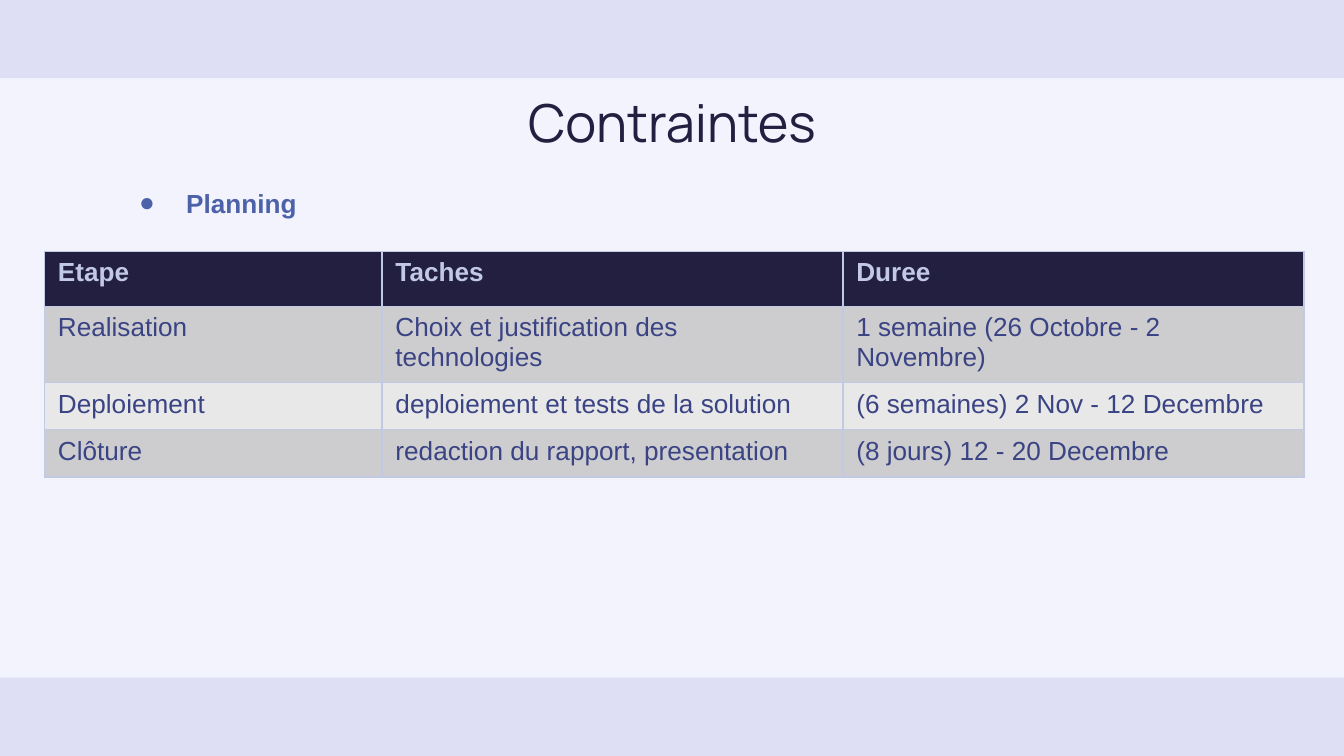
from lxml import etree
from pptx import Presentation
from pptx.dml.color import RGBColor
from pptx.enum.shapes import MSO_SHAPE
from pptx.enum.text import MSO_ANCHOR, PP_ALIGN
from pptx.oxml.ns import qn
from pptx.util import Cm, Pt

RECTANGLE = MSO_SHAPE.RECTANGLE
TOP, MIDDLE = MSO_ANCHOR.TOP, MSO_ANCHOR.MIDDLE
LEFT, CENTER = PP_ALIGN.LEFT, PP_ALIGN.CENTER

COLORS = {
    "background": "F2F3FD", "band": "DEDFF5", "ink": "231F40",
    "bullet": "4D61A9", "body": "3A4383", "border": "C1C9E4",
    "row_dark": "CDCDCF", "row_light": "E8E8E8",
}


def color(name):
    return RGBColor.from_string(COLORS[name])


def write(frame, text, *, ink, size=14, font="Arial", bold=False,
          align=LEFT, anchor=TOP):
    frame.word_wrap = True
    frame.vertical_anchor = anchor
    paragraph = frame.paragraphs[0]
    paragraph.alignment = align
    run = paragraph.add_run()
    run.text = text
    run.font.name = font
    run.font.size = Pt(size)
    run.font.bold = bold
    run.font.color.rgb = color(ink)
    return paragraph


prs = Presentation()
prs.slide_width, prs.slide_height = Cm(25.4), Cm(14.29)
slide = prs.slides.add_slide(prs.slide_layouts[6])
slide.background.fill.solid()
slide.background.fill.fore_color.rgb = color("background")

# Bands at the top and bottom edges
band_height = Cm(1.48)
for top in (0, prs.slide_height - band_height):
    band = slide.shapes.add_shape(RECTANGLE, 0, top, prs.slide_width, band_height)
    band.shadow.inherit = False
    band.fill.solid()
    band.fill.fore_color.rgb = color("band")
    band.line.fill.background()

# Bulleted heading and title share the same column
planning = slide.shapes.add_textbox(Cm(2), Cm(3.2), Cm(21.4), Cm(9.47))
title = slide.shapes.add_textbox(Cm(2), Cm(1.5), Cm(21.4), Cm(1.6))
for box in (planning, title):
    frame = box.text_frame
    frame.margin_left = frame.margin_right = Cm(0.25)
    frame.margin_top = frame.margin_bottom = Cm(0.25)

heading = write(planning.text_frame, "Planning", ink="bullet", bold=True)
heading.line_spacing = 1.15
properties = heading._p.get_or_add_pPr()
properties.set("marL", str(Cm(1.27)))
properties.set("indent", str(-Cm(0.89)))
bullet_color = etree.SubElement(properties, qn("a:buClr"))
etree.SubElement(bullet_color, qn("a:srgbClr"), val=COLORS["bullet"])
etree.SubElement(properties, qn("a:buFont"), typeface="Arial")
etree.SubElement(properties, qn("a:buChar"), char="●")

write(title.text_frame, "Contraintes", ink="ink", size=28, font="Manrope",
      align=CENTER, anchor=MIDDLE)

# Planning table
schedule = [
    ("Etape", "Taches", "Duree"),
    ("Realisation", "Choix et justification des technologies",
     "1 semaine (26 Octobre - 2 Novembre)"),
    ("Deploiement", "deploiement et tests de la solution",
     "(6 semaines) 2 Nov - 12 Decembre"),
    ("Clôture", "redaction du rapport, presentation",
     "(8 jours) 12 - 20 Decembre"),
]
column_widths = [6.38, 8.71, 8.71]
row_heights = [1.04, 0.89, 0.89, 0.89]
table = slide.shapes.add_table(
    len(schedule), len(column_widths), Cm(0.84), Cm(4.75),
    Cm(sum(column_widths)), Cm(sum(row_heights))).table
for column, width in zip(table.columns, column_widths):
    column.width = Cm(width)
for row, height in zip(table.rows, row_heights):
    row.height = Cm(height)

for r, entries in enumerate(schedule):
    header = r == 0
    fill = "ink" if header else ("row_dark" if r % 2 else "row_light")
    for c, entry in enumerate(entries):
        cell = table.cell(r, c)
        write(cell.text_frame, entry, ink="border" if header else "body", bold=header)
        # Borders come before the fill in the cell properties
        cell_properties = cell._tc.get_or_add_tcPr()
        for side in ("a:lnL", "a:lnR", "a:lnT", "a:lnB"):
            border = etree.SubElement(cell_properties, qn(side), w=str(Pt(1)))
            border_fill = etree.SubElement(border, qn("a:solidFill"))
            etree.SubElement(border_fill, qn("a:srgbClr"), val=COLORS["border"])
        cell.fill.solid()
        cell.fill.fore_color.rgb = color(fill)

prs.save("out.pptx")
